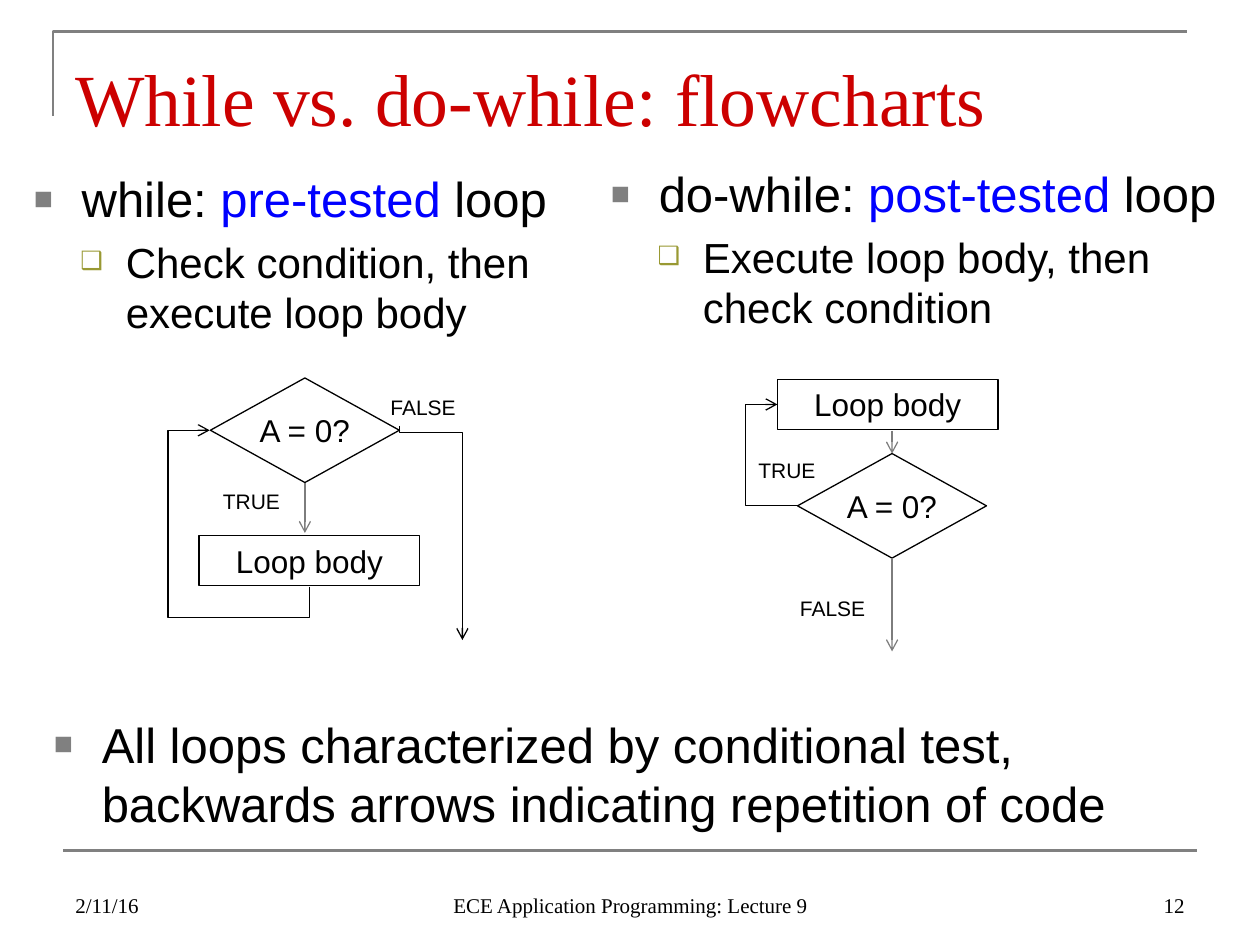
from lxml.etree import SubElement
from pptx import Presentation
from pptx.dml.color import RGBColor
from pptx.enum.shapes import MSO_CONNECTOR, MSO_SHAPE
from pptx.enum.text import MSO_ANCHOR, PP_ALIGN
from pptx.oxml.ns import qn
from pptx.util import Inches, Pt

BLACK = RGBColor(0, 0, 0)
RED = RGBColor(0xCC, 0, 0)
BLUE = RGBColor(0, 0, 0xFF)
GRAY = RGBColor(0x80, 0x80, 0x80)
ARROW_GRAY = RGBColor(0x7D, 0x7D, 0x7D)
OLIVE = RGBColor(0x99, 0x99, 0x33)
SANS, SERIF = "Arial", "Times New Roman"
TOP, LEFT, BOTTOM, RIGHT = range(4)

TITLE = "While vs. do-while: flowcharts"
# level: (size, left margin, hanging indent, bullet, bullet colour, bullet size %)
LEVELS = [(28, 0.38, 0.38, "■", GRAY, 65), (24, 0.73, 0.36, "❑", OLIVE, 60)]
# frame, then paragraphs of (level, runs)
BULLET_BOXES = [
    ((0.17, 1.25, 4.42, 5.45), [
        (0, [("while: ", BLACK), ("pre-tested", BLUE), (" loop", BLACK)]),
        (1, [("Check condition, then execute loop body", BLACK)])]),
    ((4.75, 1.21, 5.08, 5.45), [
        (0, [("do-while: ", BLACK), ("post-tested", BLUE), (" loop", BLACK)]),
        (1, [("Execute loop body, then check condition", BLACK)])]),
    ((0.33, 5.58, 9.33, 1.29), [
        (0, [("All loops characterized by conditional test, "
              "backwards arrows indicating repetition of code", BLACK)])]),
]
FOOTERS = [
    ("2/11/16", 0.5, 2.33, PP_ALIGN.LEFT),
    ("ECE Application Programming: Lecture 9", 3.42, 3.17, PP_ALIGN.CENTER),
    ("12", 7.17, 2.33, PP_ALIGN.RIGHT),
]
BRANCH_LABELS = [("FALSE", 3, 3.08, 0.92), ("TRUE", 1.67, 3.83, 0.75),
                 ("FALSE", 6.25, 4.68, 0.92), ("TRUE", 5.92, 3.58, 0.75)]

deck = Presentation()
deck.slide_width, deck.slide_height = Inches(10), Inches(7.5)
page = deck.slides.add_slide(deck.slide_layouts[6])


def inches(values):
    return [Inches(value) for value in values]


def add_run(para, text, size, font, color=BLACK):
    span = para.add_run()
    span.text = text
    span.font.size, span.font.name = Pt(size), font
    span.font.color.rgb = color


def add_text(frame, text, size, font, color=BLACK,
             align=PP_ALIGN.LEFT, anchor=MSO_ANCHOR.TOP):
    box = page.shapes.add_textbox(*inches(frame))
    box.text_frame.word_wrap = True
    box.text_frame.vertical_anchor = anchor
    para = box.text_frame.paragraphs[0]
    para.alignment = align
    add_run(para, text, size, font, color)
    return box


def set_bullet(para, level):
    _, margin, hanging, mark, color, percent = LEVELS[level]
    props = para._p.get_or_add_pPr()
    props.set("marL", str(Inches(margin)))
    props.set("indent", str(-Inches(hanging)))
    bullet_color = SubElement(props, qn("a:buClr"))
    SubElement(bullet_color, qn("a:srgbClr")).set("val", str(color))
    SubElement(props, qn("a:buSzPct")).set("val", str(percent * 1000))
    SubElement(props, qn("a:buFont")).set("typeface", SANS)
    SubElement(props, qn("a:buChar")).set("char", mark)


def add_bullets(frame, paragraphs):
    box = page.shapes.add_textbox(*inches(frame))
    box.text_frame.word_wrap = True
    box.text_frame.margin_top = Inches(0.09)
    for index, (level, runs) in enumerate(paragraphs):
        para = box.text_frame.add_paragraph() if index else box.text_frame.paragraphs[0]
        para.level = level
        set_bullet(para, level)
        size = LEVELS[level][0]
        if index:
            para.space_before = Pt(0.2 * size)
        for text, color in runs:
            add_run(para, text, size, SANS, color)


def add_step(preset, frame, text, wrap):
    step = page.shapes.add_shape(preset, *inches(frame))
    step.shadow.inherit = False
    step.fill.background()
    step.line.color.rgb, step.line.width = BLACK, Pt(0.75)
    step.text_frame.word_wrap = wrap
    step.text_frame.vertical_anchor = MSO_ANCHOR.MIDDLE
    para = step.text_frame.paragraphs[0]
    para.alignment = PP_ALIGN.CENTER
    add_run(para, text, 18, SANS)
    return step


def add_decision(left, top):
    return add_step(MSO_SHAPE.FLOWCHART_DECISION, (left, top, 1.5, 0.83), "A = 0?", False)


def add_loop_body(left, top):
    return add_step(MSO_SHAPE.RECTANGLE, (left, top, 1.75, 0.4), "Loop body", True)


def add_line(start, end, color, width=0.75, arrow=True,
             kind=MSO_CONNECTOR.STRAIGHT, begin=None, finish=None):
    """Draw a connector; begin and finish are (shape, side) joins."""
    line = page.shapes.add_connector(kind, *inches(start + end))
    if begin:
        line.begin_connect(*begin)
    if finish:
        line.end_connect(*finish)
    line.line.color.rgb, line.line.width = color, Pt(width)
    if arrow:
        SubElement(line.line._get_or_add_ln(), qn("a:tailEnd")).set("type", "arrow")
    SubElement(line._element.spPr, qn("a:effectLst"))
    return line


def add_elbow(frame, turn, flip, bends, begin, finish=None):
    """Draw a bent arrow: frame before the turn, bends as shares of the frame."""
    left, top, width, height = frame
    line = add_line((left, top), (left + width, top + height), BLACK,
                    kind=MSO_CONNECTOR.ELBOW, begin=begin, finish=finish)
    line.left, line.top, line.width, line.height = inches(frame)
    xfrm = line._element.spPr.find(qn("a:xfrm"))
    for name in ("flipH", "flipV"):
        xfrm.attrib.pop(name, None)
    xfrm.set("rot", str(turn * 60000))
    if flip:
        xfrm.set("flipH", "1")
    geometry = line._element.spPr.find(qn("a:prstGeom"))
    geometry.set("prst", f"bentConnector{len(bends) + 2}")
    guides = geometry.find(qn("a:avLst"))
    if guides is None:
        guides = SubElement(geometry, qn("a:avLst"))
    for number, share in enumerate(bends, 1):
        guide = SubElement(guides, qn("a:gd"))
        guide.set("name", f"adj{number}")
        guide.set("fmla", f"val {round(share * 100000)}")


# Page frame, title and footer
pen = page.shapes.build_freeform(Inches(0.42), Inches(0.92))
pen.add_line_segments([inches((0.42, 0.25)), inches((9.42, 0.25))], close=False)
corner = pen.convert_to_shape()
corner.shadow.inherit = False
corner.fill.background()
corner.line.color.rgb, corner.line.width = GRAY, Pt(1.5)
add_line((0.5, 6.75), (9.5, 6.75), GRAY, 1.5, arrow=False)
title = add_text((0.5, 0.3, 9, 0.78), TITLE, 42, SERIF, RED)
title.text_frame.margin_top = Inches(0.12)
for text, left, width, align in FOOTERS:
    add_text((left, 6.83, width, 0.5), text, 12, SERIF, align=align, anchor=MSO_ANCHOR.BOTTOM)

for frame, paragraphs in BULLET_BOXES:
    add_bullets(frame, paragraphs)
for text, left, top, width in BRANCH_LABELS:
    add_text((left, top, width, 0.3), text, 12, SANS)

# while: test first
test = add_decision(1.67, 3)
body = add_loop_body(1.58, 4.25)
add_elbow((2.57, 3.98, 1.7, 0.5), 270, True, [0.03], (test, RIGHT))
add_elbow((1.44, 3.64, 1.24, 0.79), 90, True, [-0.2, 1.42], (body, BOTTOM), (test, LEFT))
add_line((2.42, 3.83), (2.42, 4.23), ARROW_GRAY, begin=(test, BOTTOM))

# do-while: body first
body = add_loop_body(6.17, 3.01)
test = add_decision(6.33, 3.6)
add_elbow((6.17, 3.21, 0.17, 0.8), 180, False, [2.5], (test, LEFT), (body, LEFT))
add_line((7.08, 3.42), (7.08, 3.6), ARROW_GRAY, finish=(test, TOP))
add_line((7.08, 4.43), (7.08, 5.17), ARROW_GRAY, begin=(test, BOTTOM))

deck.save("out.pptx")
